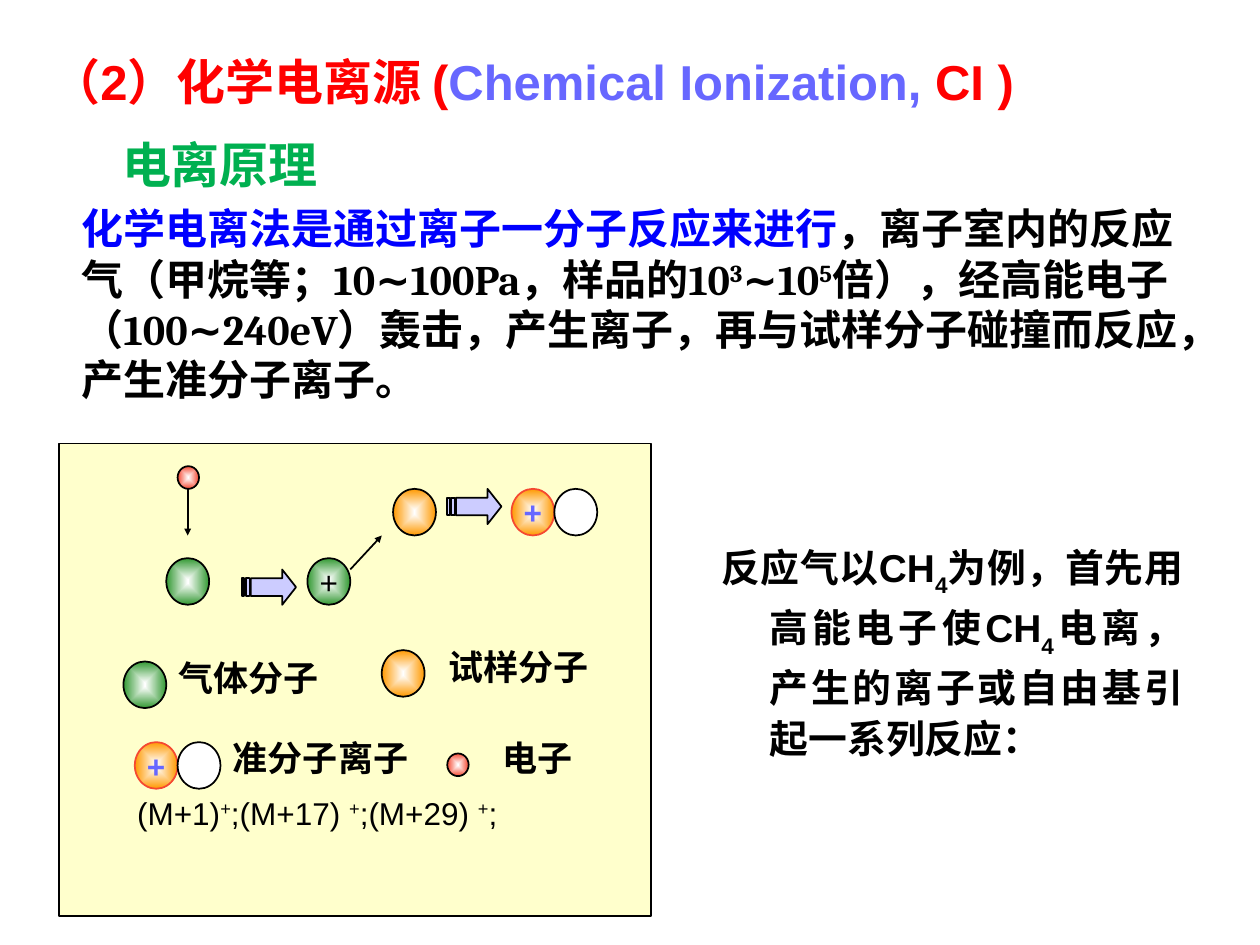
from lxml import etree
from pptx import Presentation
from pptx.dml.color import RGBColor
from pptx.enum.shapes import MSO_CONNECTOR, MSO_SHAPE
from pptx.enum.text import MSO_ANCHOR, PP_ALIGN
from pptx.oxml import parse_xml
from pptx.oxml.ns import nsdecls, qn
from pptx.util import Inches, Pt

OVAL, RECTANGLE = MSO_SHAPE.OVAL, MSO_SHAPE.RECTANGLE
STRAIGHT = MSO_CONNECTOR.STRAIGHT
LEFT, CENTER, JUSTIFY = PP_ALIGN.LEFT, PP_ALIGN.CENTER, PP_ALIGN.JUSTIFY
TOP, MIDDLE = MSO_ANCHOR.TOP, MSO_ANCHOR.MIDDLE

EAST_ASIAN = "Noto Sans CJK SC"
BLACK, WHITE, RED, BLUE = "000000", "FFFFFF", "FF0000", "0000FF"
GREEN, ORANGE, CORAL, VIOLET = "339933", "FF9900", "F54831", "6767FF"
CREAM, LAVENDER, HEADING_GREEN = "FFFFCC", "CCCCFF", "00B050"
SUPER, SUB = {"baseline": 30}, {"baseline": -30}
CAMBRIA = {"font": "Cambria"}

# Each run is (text, what differs from the format of its box)
TITLE = [("（2）化学电离源 (", {}), ("Chemical Ionization, ", {"color": VIOLET}), ("CI )", {})]
PRINCIPLE = [
    ("化学电离法是通过离子一分子反应来进行", {"color": BLUE}), ("，", {}),
    ("离子室内的反应气（甲烷等；10", CAMBRIA), ("∼", {}),
    ("100Pa，样品的10", CAMBRIA), ("3", CAMBRIA | SUPER), ("∼", {}),
    ("10", CAMBRIA), ("5", CAMBRIA | SUPER),
    ("倍），经高能电子（100", CAMBRIA), ("∼", {}),
    ("240eV）轰击，产生离子，再与试样分子碰撞而反应，产生准分子离子。", CAMBRIA),
]
EXAMPLE = [
    ("反应气以CH", {}), ("4", SUB), ("为例，首先用高能电子使CH", {}), ("4", SUB),
    ("电离，产生的离子或自由基引起一系列反应：", {}),
]
ION_MASSES = [
    ("(M+1)", {}), ("+", SUPER), (";(M+17) ", {}), ("+", SUPER),
    (";(M+29) ", {}), ("+", SUPER), (";", {}),
]
LEGEND = [  # label, left, top, width
    ("气体分子", 1.32, 5.16, 1.37), ("试样分子", 3.46, 5.07, 1.37),
    ("准分子离子", 1.75, 5.8, 1.71), ("电子", 3.89, 5.8, 0.94),
]
GAS_MOLECULES = [(1.32, 4.43), (0.98, 5.25)]
GAS_ION = (2.44, 4.43)
SAMPLE_MOLECULES = [(3.12, 3.88), (3.03, 5.16)]
QUASI_MOLECULAR_IONS = [(4.06, 3.88), (1.07, 5.89)]
ELECTRONS = [(1.41, 3.7), (3.55, 5.98)]
THIN_ARROWS = [((1.49, 3.88), (1.49, 4.25)), ((2.78, 4.52), (3.03, 4.25))]
STRIPED_ARROWS = [(1.92, 4.52), (3.55, 3.88)]
MOLECULE_SIZE, ELECTRON_SIZE = (0.34, 0.37), (0.17, 0.18)
ARROW_CONTOURS = [
    [(0.32, 0), (0.32, 0.07), (0.07, 0.07), (0.07, 0.21), (0.32, 0.21), (0.32, 0.28), (0.43, 0.14)],
    [(0.03, 0.07), (0.03, 0.21), (0.06, 0.21), (0.06, 0.07)],
    [(0, 0.07), (0, 0.21), (0.02, 0.21), (0.02, 0.07)],
]


def rgb(value):
    return RGBColor.from_string(value)


def write(shape, runs, *, size, color=BLACK, font="Arial", bold=True, align=LEFT,
          anchor=TOP, wrap=True, spacing=None, hanging=0):
    """Fill a shape with one paragraph; a run may override font, color or baseline."""
    frame = shape.text_frame
    frame.word_wrap = wrap
    frame.vertical_anchor = anchor
    paragraph = frame.paragraphs[0]
    paragraph.alignment = align
    if spacing:
        paragraph.line_spacing = spacing
    if hanging:
        properties = paragraph._p.get_or_add_pPr()
        properties.set("marL", str(Inches(hanging)))
        properties.set("indent", str(-Inches(hanging)))
    for text, changes in runs:
        run = paragraph.add_run()
        run.text = text
        run.font.size = Pt(size)
        run.font.bold = bold
        run.font.name = changes.get("font", font)
        run.font.color.rgb = rgb(changes.get("color", color))
        properties = run._r.get_or_add_rPr()
        properties.set("lang", "zh-CN")
        if "baseline" in changes:
            properties.set("baseline", str(changes["baseline"] * 1000))
        properties.find(qn("a:latin")).addnext(
            parse_xml(f'<a:ea {nsdecls("a")} typeface="{EAST_ASIAN}"/>'))


def add_text(slide, box, runs, **text_format):
    write(slide.shapes.add_textbox(*map(Inches, box)), runs, **text_format)


def paint(shape, fill, line=BLACK):
    shape.shadow.inherit = False
    shape.fill.solid()
    shape.fill.fore_color.rgb = rgb(fill)
    shape.line.color.rgb = rgb(line)
    shape.line.width = Pt(1)


def add_shape(slide, kind, position, size, fill, line=BLACK):
    shape = slide.shapes.add_shape(kind, *map(Inches, (*position, *size)))
    paint(shape, fill, line)
    return shape


def add_ball(slide, position, color, size=MOLECULE_SIZE, line=BLACK):
    """Draw a circle that shades from a white centre to the given colour."""
    ball = add_shape(slide, OVAL, position, size, color, line)
    solid = ball._element.spPr.find(qn("a:solidFill"))
    solid.getparent().replace(solid, parse_xml(
        f'<a:gradFill {nsdecls("a")} rotWithShape="1"><a:gsLst>'
        f'<a:gs pos="0"><a:srgbClr val="{WHITE}"/></a:gs>'
        f'<a:gs pos="100000"><a:srgbClr val="{color}"/></a:gs></a:gsLst>'
        '<a:path path="rect"><a:fillToRect l="50000" t="50000" r="50000" b="50000"/>'
        '</a:path></a:gradFill>'))
    return ball


def add_charge(ball, color, bold):
    write(ball, [("+", {})], size=18, color=color, bold=bold,
          align=CENTER, anchor=MIDDLE, wrap=False)


def add_thin_arrow(slide, start, end):
    connector = slide.shapes.add_connector(STRAIGHT, *map(Inches, (*start, *end)))
    connector.line.color.rgb = rgb(BLACK)
    connector.line.width = Pt(1)
    etree.SubElement(connector.line._get_or_add_ln(), qn("a:tailEnd"),
                     type="triangle", w="sm", len="sm")
    etree.SubElement(connector._element.spPr, qn("a:effectLst"))


def add_striped_arrow(slide, left, top):
    contours = [[(Inches(left + x), Inches(top + y)) for x, y in contour]
                for contour in ARROW_CONTOURS]
    builder = slide.shapes.build_freeform(*contours[0][0])
    for index, contour in enumerate(contours):
        if index:
            builder.move_to(*contour[0])
        builder.add_line_segments(contour[1:], close=True)
    paint(builder.convert_to_shape(), LAVENDER)


def add_diagram(slide):
    add_shape(slide, RECTANGLE, (0.47, 3.52), (4.7, 3.75), CREAM)
    for position in GAS_MOLECULES:
        add_ball(slide, position, GREEN)
    add_charge(add_ball(slide, GAS_ION, GREEN), BLACK, False)
    for position in SAMPLE_MOLECULES:
        add_ball(slide, position, ORANGE)
    for left, top in QUASI_MOLECULAR_IONS:
        add_charge(add_ball(slide, (left, top), ORANGE, line=CORAL), VIOLET, True)
        add_shape(slide, OVAL, (left + MOLECULE_SIZE[0], top), MOLECULE_SIZE, WHITE)
    for position in ELECTRONS:
        add_ball(slide, position, CORAL, ELECTRON_SIZE)
    for start, end in THIN_ARROWS:
        add_thin_arrow(slide, start, end)
    for position in STRIPED_ARROWS:
        add_striped_arrow(slide, *position)
    for label, left, top, width in LEGEND:
        add_text(slide, (left, top, width, 0.44), [(label, {})], size=20)
    add_text(slide, (0.99, 6.25, 3.88, 0.4), ION_MASSES, size=18, bold=False)


def main():
    presentation = Presentation()
    presentation.slide_width, presentation.slide_height = Inches(10), Inches(7.5)
    slide = presentation.slides.add_slide(presentation.slide_layouts[6])
    add_text(slide, (0.31, 0.31, 8.84, 0.67), TITLE, size=28, color=RED, anchor=MIDDLE)
    add_text(slide, (0.87, 1.02, 1.75, 0.57), [("电离原理", {})], size=28,
             color=HEADING_GREEN, font=EAST_ASIAN, wrap=False)
    add_text(slide, (0.55, 1.56, 9.07, 1.7), PRINCIPLE, size=24)
    add_diagram(slide)
    add_text(slide, (5.63, 4.22, 3.86, 1.87), EXAMPLE, size=22.2,
             align=JUSTIFY, spacing=1.1, hanging=0.38)
    presentation.save("out.pptx")


if __name__ == "__main__":
    main()
